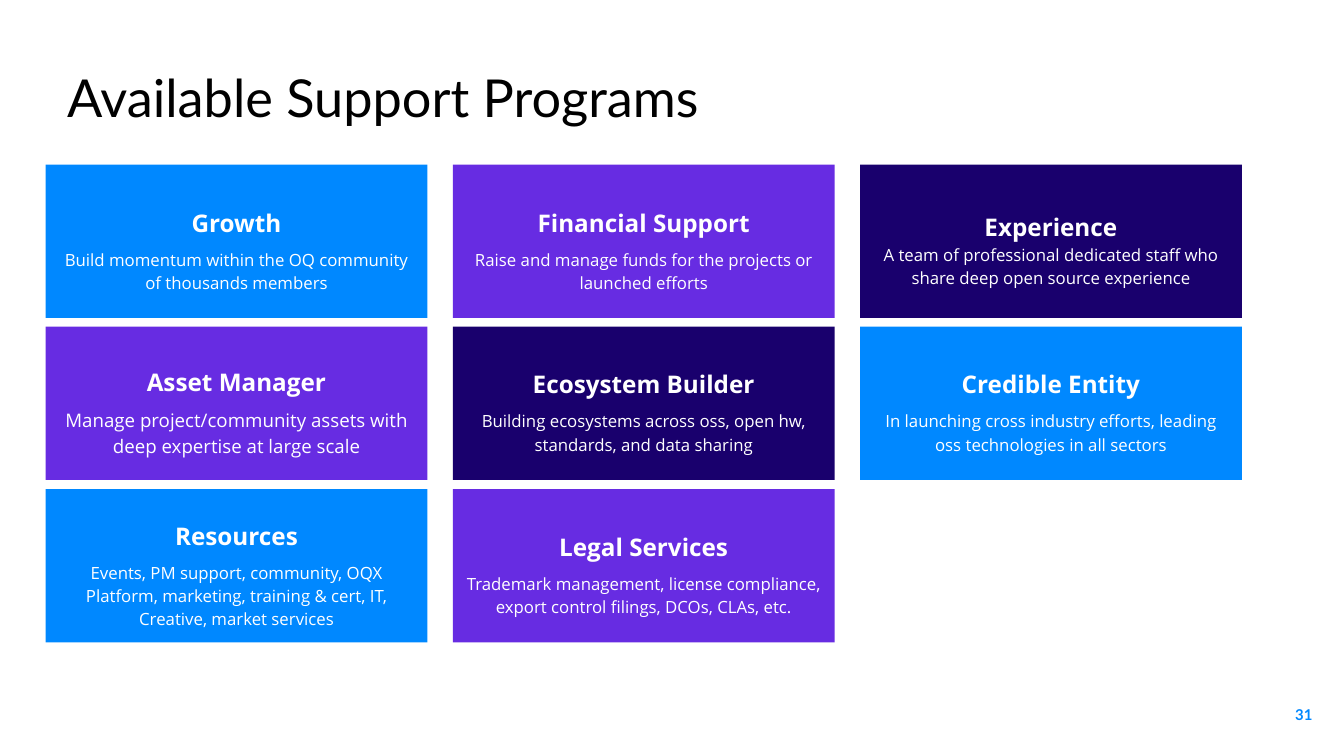
from pptx import Presentation
from pptx.dml.color import RGBColor
from pptx.enum.shapes import MSO_SHAPE
from pptx.enum.text import MSO_ANCHOR, PP_ALIGN
from pptx.util import Pt

PX = 9144
BLUE = RGBColor(0x00, 0x88, 0xFF)
VIOLET = RGBColor(0x67, 0x2C, 0xE2)
NAVY = RGBColor(0x19, 0x00, 0x6D)
WHITE = RGBColor(0xFF, 0xFF, 0xFF)
BLACK = RGBColor(0x00, 0x00, 0x00)

CARDS = [
    (BLUE, "Growth", "Build momentum within the OQ community of thousands members", {}),
    (VIOLET, "Financial Support", "Raise and manage funds for the projects or launched efforts", {}),
    (NAVY, "Experience", "A team of professional dedicated staff who share deep open source experience",
     {"before": 0, "after": 10}),
    (VIOLET, "Asset Manager", "Manage project/community assets with deep expertise at large scale",
     {"size": 20}),
    (NAVY, "Ecosystem Builder", "Building ecosystems across oss, open hw, standards, and data sharing", {}),
    (BLUE, "Credible Entity", "In launching cross industry efforts, leading oss technologies in all sectors", {}),
    (BLUE, "Resources", "Events, PM support, community, OQX Platform, marketing, training & cert, IT, "
     "Creative, market services", {}),
    (VIOLET, "Legal Services", "Trademark management, license compliance, export control filings, "
     "DCOs, CLAs, etc.", {}),
]


def write(para, text, *, font, size, color, bold=False, align=PP_ALIGN.LEFT,
          line=None, before=None, after=None):
    """Put formatted text into a paragraph."""
    para.alignment = align
    if line:
        para.line_spacing = line
    if before is not None:
        para.space_before = Pt(before)
    if after is not None:
        para.space_after = Pt(after)
    run = para.add_run()
    run.text = text
    run.font.name = font
    run.font.size = Pt(size)
    run.font.bold = bold
    run.font.color.rgb = color


class Deck:
    """Hold the style and the current slide."""

    head = "Lato"
    card_style = {"font": "Open Sans", "color": WHITE, "align": PP_ALIGN.CENTER, "line": 1.15}

    def __init__(self):
        """Start a deck with one blank slide."""
        self.prs = Presentation()
        self.prs.slide_width = 2000 * PX
        self.prs.slide_height = 1125 * PX
        self.slide = self.prs.slides.add_slide(self.prs.slide_layouts[6])

    def frame(self, shape, insets, anchor):
        """Set up the text frame of a shape."""
        frame = shape.text_frame
        frame.word_wrap = True
        frame.vertical_anchor = anchor
        (frame.margin_left, frame.margin_top,
         frame.margin_right, frame.margin_bottom) = [n * PX for n in insets]
        return frame

    def label(self, box, text, inset=0, anchor=MSO_ANCHOR.TOP, **style):
        """Add a one-line text box."""
        shape = self.slide.shapes.add_textbox(*[n * PX for n in box])
        frame = self.frame(shape, [inset] * 4, anchor)
        write(frame.paragraphs[0], text, font=self.head, **style)

    def card(self, box, fill, name, body, extra):
        """Add a filled card with a heading and a body."""
        shape = self.slide.shapes.add_shape(MSO_SHAPE.RECTANGLE, *[n * PX for n in box])
        shape.shadow.inherit = False
        shape.fill.solid()
        shape.fill.fore_color.rgb = fill
        shape.line.fill.background()
        frame = self.frame(shape, (20, 40, 20, 20), MSO_ANCHOR.MIDDLE)
        write(frame.paragraphs[0], name, size=26, bold=True, **self.card_style)
        write(frame.add_paragraph(), body, **{"size": 18, "before": 10, **self.card_style, **extra})


def main():
    """Build the slide and save it."""
    deck = Deck()
    deck.label((100, 97, 1864, 125), "Available Support Programs", size=56, color=BLACK)
    for i, (fill, name, body, extra) in enumerate(CARDS):
        row, col = divmod(i, 3)
        box = (68 + 606 * col, 245 + 483 * row // 2, 568, 228)
        deck.card(box, fill, name, body, extra)
    deck.label((1853, 1020, 120, 86), "31", inset=20, anchor=MSO_ANCHOR.MIDDLE,
               size=16, color=BLUE, bold=True, align=PP_ALIGN.RIGHT)
    deck.prs.save("out.pptx")


if __name__ == "__main__":
    main()
